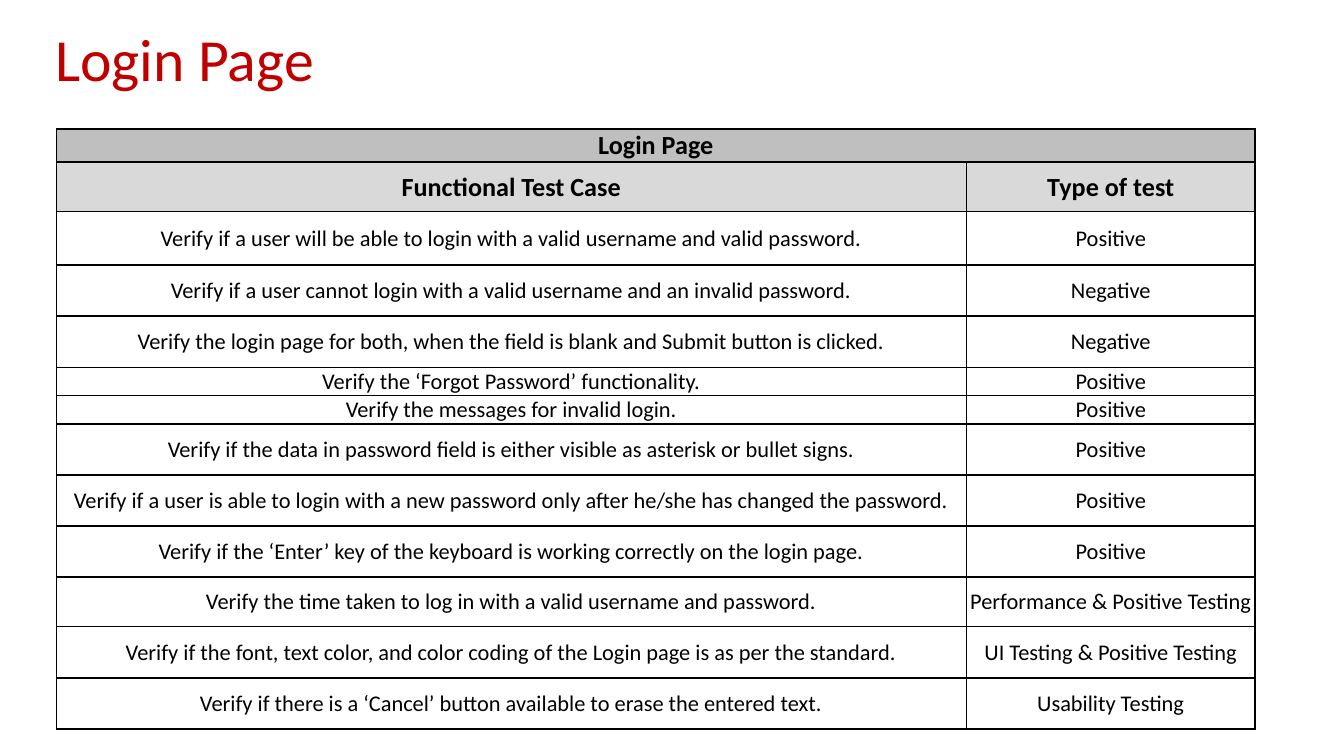
from lxml import etree
from pptx import Presentation, util as u
from pptx.dml.color import RGBColor
from pptx.enum import text
from pptx.oxml import ns

TITLE = "Login Page"
HEADINGS = ("Functional Test Case", "Type of test")
TALL, SHORT = 0.38, 0.19
TEST_CASES = [
    ("Verify if a user will be able to login with a valid username and valid password.", "Positive", 0.4),
    ("Verify if a user cannot login with a valid username and an invalid password.", "Negative", TALL),
    ("Verify the login page for both, when the field is blank and Submit button is clicked.", "Negative", TALL),
    ("Verify the ‘Forgot Password’ functionality.", "Positive", SHORT),
    ("Verify the messages for invalid login.", "Positive", SHORT),
    ("Verify if the data in password field is either visible as asterisk or bullet signs.", "Positive", TALL),
    ("Verify if a user is able to login with a new password only after he/she has changed the password.",
     "Positive", TALL),
    ("Verify if the ‘Enter’ key of the keyboard is working correctly on the login page.", "Positive", TALL),
    ("Verify the time taken to log in with a valid username and password.",
     "Performance & Positive Testing", 0.37),
    ("Verify if the font, text color, and color coding of the Login page is as per the standard.",
     "UI Testing & Positive Testing", TALL),
    ("Verify if there is a ‘Cancel’ button available to erase the entered text.", "Usability Testing", TALL),
]
SLIDE_WIDTH = u.Inches(10)
SLIDE_HEIGHT = SLIDE_WIDTH * 9 // 16
COLUMN_WIDTHS = (6.77, 2.15)
THEME = {
    "font": "Calibri",
    "title": {"size": 32, "color": "C00000", "bold": False},
    "banner": {"size": 14, "color": "000000", "bold": True, "fill": "BFBFBF"},
    "heading": {"size": 14, "color": "000000", "bold": True, "fill": "D9D9D9"},
    "body": {"size": 12, "color": "000000", "bold": False, "fill": None},
    "border": {"width": 1, "color": "000000"},
}


def set_attributes(target, values):
    for name, value in values.items():
        setattr(target, name, value)


def format_font(font, style):
    set_attributes(font, {"name": THEME["font"], "size": u.Pt(style["size"]), "bold": style["bold"]})
    font.color.rgb = RGBColor.from_string(style["color"])


def add_borders(cell):
    properties = cell._tc.get_or_add_tcPr()
    border = THEME["border"]
    for side in ("lnL", "lnR", "lnT", "lnB"):
        line = etree.SubElement(properties, ns.qn(f"a:{side}"), w=str(u.Pt(border["width"])))
        fill = etree.SubElement(line, ns.qn("a:solidFill"))
        etree.SubElement(fill, ns.qn("a:srgbClr"), val=border["color"])


def format_cell(cell, content, style):
    set_attributes(cell, {
        "text": content,
        "vertical_anchor": text.MSO_ANCHOR.MIDDLE,
        "margin_left": u.Inches(0.01),
        "margin_right": u.Inches(0.01),
        "margin_top": u.Pt(0.5),
        "margin_bottom": 0,
    })
    add_borders(cell)
    if style["fill"]:
        cell.fill.solid()
        cell.fill.fore_color.rgb = RGBColor.from_string(style["fill"])
    else:
        cell.fill.background()
    paragraph = cell.text_frame.paragraphs[0]
    paragraph.alignment = text.PP_ALIGN.CENTER
    format_font(paragraph.font, style)
    for run in paragraph.runs:
        format_font(run.font, style)


def add_title(slide):
    title = slide.shapes.title
    set_attributes(title, {
        "left": u.Inches(0.31), "top": u.Inches(0.05),
        "width": u.Inches(9.15), "height": u.Inches(0.75),
    })
    frame = title.text_frame
    set_attributes(frame, {
        "text": TITLE, "word_wrap": True,
        "auto_size": text.MSO_AUTO_SIZE.NONE,
        "vertical_anchor": text.MSO_ANCHOR.BOTTOM,
    })
    for side in ("left", "right", "top", "bottom"):
        setattr(frame, f"margin_{side}", u.Inches(0.1))
    paragraph = frame.paragraphs[0]
    set_attributes(paragraph, {"alignment": text.PP_ALIGN.LEFT, "line_spacing": 0.9})
    format_font(paragraph.runs[0].font, THEME["title"])


def add_test_table(slide):
    rows = [((TITLE, ""), "banner", SHORT), (HEADINGS, "heading", 0.37)]
    rows += [((case, kind), "body", height) for case, kind, height in TEST_CASES]
    total_height = sum(height for _, _, height in rows)
    table = slide.shapes.add_table(
        len(rows), len(COLUMN_WIDTHS), u.Inches(0.42), u.Inches(0.96),
        u.Inches(sum(COLUMN_WIDTHS)), u.Inches(total_height)).table
    set_attributes(table, {"first_row": False, "horz_banding": False})
    for column, width in zip(table.columns, COLUMN_WIDTHS):
        column.width = u.Inches(width)
    for row, (contents, style, height) in zip(table.rows, rows):
        row.height = u.Inches(height)
        for cell, content in zip(row.cells, contents):
            format_cell(cell, content, THEME[style])
    table.cell(0, 0).merge(table.cell(0, 1))


def main():
    presentation = Presentation()
    set_attributes(presentation, {"slide_width": SLIDE_WIDTH, "slide_height": SLIDE_HEIGHT})
    slide = presentation.slides.add_slide(presentation.slide_layouts[5])
    add_title(slide)
    add_test_table(slide)
    presentation.save("out.pptx")


if __name__ == "__main__":
    main()
